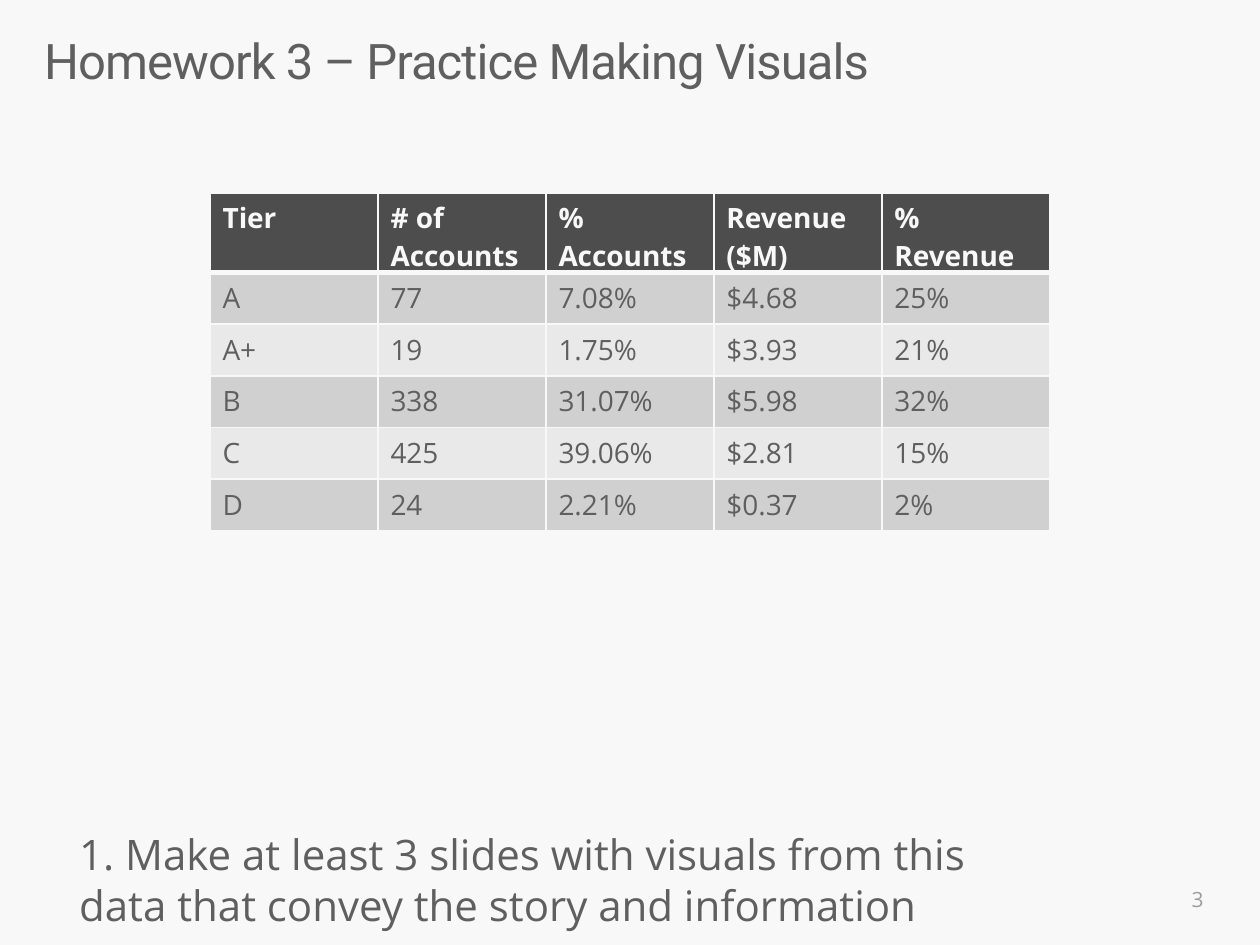
from lxml.etree import SubElement
from pptx import Presentation
from pptx.dml.color import RGBColor
from pptx.enum.text import MSO_ANCHOR, PP_ALIGN
from pptx.oxml.ns import qn
from pptx.util import Inches, Pt

THEME = {
    "paper": "F8F8F8", "ink": "5F5F5F", "muted": "9D9D9D",
    "head": "4D4D4D", "bands": ("E9E9E9", "D0D0D0"),
    "title_font": "Roboto", "body_font": "Open Sans",
    "title": 28, "body": 24, "table": 16, "number": 12,
}
W, H = Inches(10), Inches(7.5)


def write(tf, text, color, size, font=THEME["body_font"], bold=False):
    p = tf.paragraphs[0]
    r = p.add_run()
    r.text = text
    for key, value in {"name": font, "size": Pt(size), "bold": bold}.items():
        setattr(r.font, key, value)
    r.font.color.rgb = RGBColor.from_string(color)
    return p, r


def border(cell, widths):
    tcPr = cell._tc.get_or_add_tcPr()
    for side, width in widths.items():
        ln = SubElement(tcPr, qn(f"a:ln{side}"), w=str(Pt(width)))
        fill = SubElement(ln, qn("a:solidFill"))
        SubElement(fill, qn("a:srgbClr"), val=THEME["paper"])


prs = Presentation()
prs.slide_width, prs.slide_height = W, H
s = prs.slides.add_slide(prs.slide_layouts[6])
s.background.fill.solid()
s.background.fill.fore_color.rgb = RGBColor.from_string(THEME["paper"])

tf = s.shapes.add_textbox(Inches(0.35), Inches(0.31), Inches(9.29), Inches(0.89)).text_frame
for key, value in {"word_wrap": True, "margin_left": 0, "margin_top": 0,
                   "margin_right": 0, "margin_bottom": 0}.items():
    setattr(tf, key, value)
p, r = write(tf, "Homework 3 – Practice Making Visuals",
             THEME["ink"], THEME["title"], THEME["title_font"])
p.line_spacing = 0.86
r._r.get_or_add_rPr().set("spc", "-50")

tf = s.shapes.add_textbox(Inches(7.4), Inches(6.94), Inches(2.25), Inches(0.4)).text_frame
for key, value in {"word_wrap": True, "vertical_anchor": MSO_ANCHOR.MIDDLE}.items():
    setattr(tf, key, value)
p, r = write(tf, "3", THEME["muted"], THEME["number"])
p.alignment = PP_ALIGN.RIGHT

tf = s.shapes.add_textbox(Inches(0.53), Inches(6.53), Inches(7.88), Inches(0.91)).text_frame
tf.word_wrap = True
write(tf, "1. Make at least 3 slides with visuals from this data that convey the story and information",
      THEME["ink"], THEME["body"])

rows = [
    ("Tier", "# of Accounts", "% Accounts", "Revenue ($M)", "% Revenue"),
    ("A", "77", "7.08%", "$4.68", "25%"),
    ("A+", "19", "1.75%", "$3.93", "21%"),
    ("B", "338", "31.07%", "$5.98", "32%"),
    ("C", "425", "39.06%", "$2.81", "15%"),
    ("D", "24", "2.21%", "$0.37", "2%"),
]
table_w, table_h = W * 2 // 3, Inches(2.66)
sp = s.shapes.add_table(len(rows), len(rows[0]), (W - table_w) // 2, Inches(1.53), table_w, table_h)
table = sp.table
for row in table.rows:
    row.height = Inches(0.41)
sp.height = table_h

for i, values in enumerate(rows):
    head = i == 0
    fill = THEME["head"] if head else THEME["bands"][i % 2]
    color = THEME["paper"] if head else THEME["ink"]
    for j, value in enumerate(values):
        cell = table.cell(i, j)
        border(cell, {"L": 1, "R": 1, "T": 3 if i == 1 else 1, "B": 3 if head else 1})
        cell.fill.solid()
        cell.fill.fore_color.rgb = RGBColor.from_string(fill)
        write(cell.text_frame, value, color, THEME["table"], bold=head)

prs.save("out.pptx")
